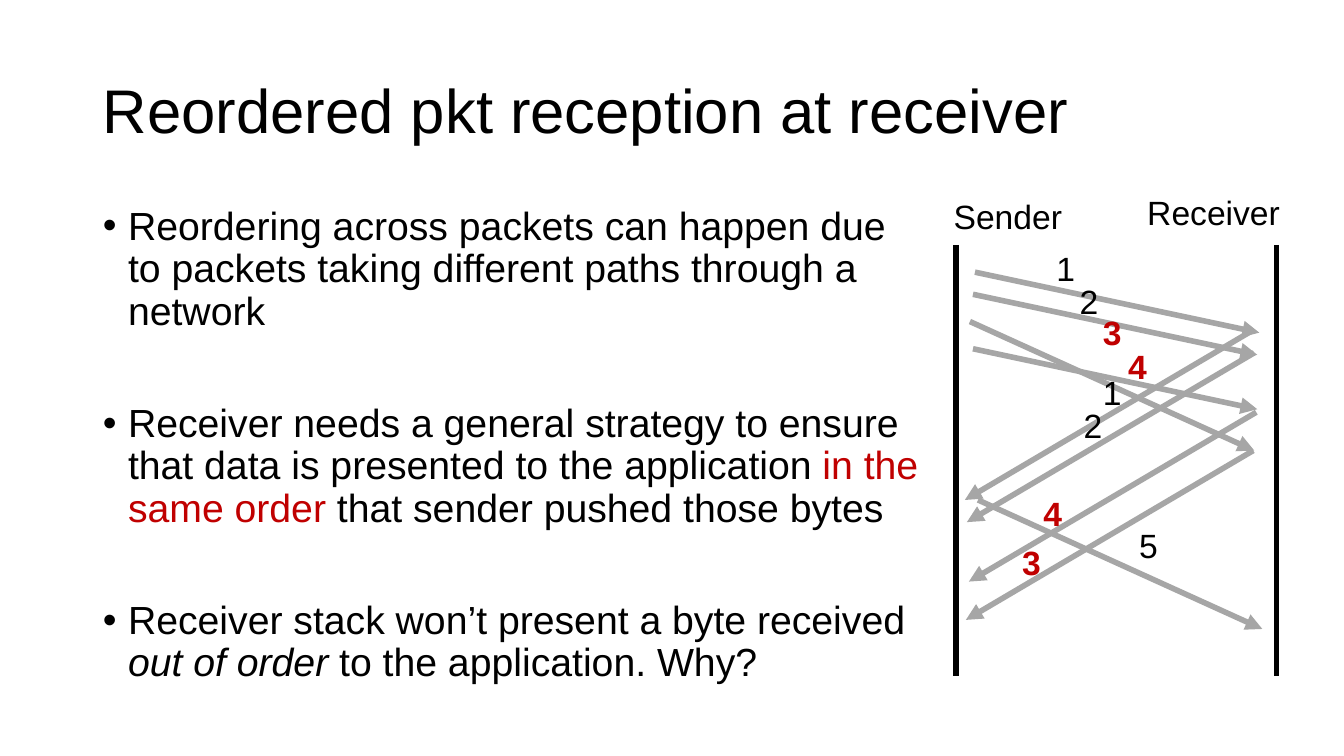
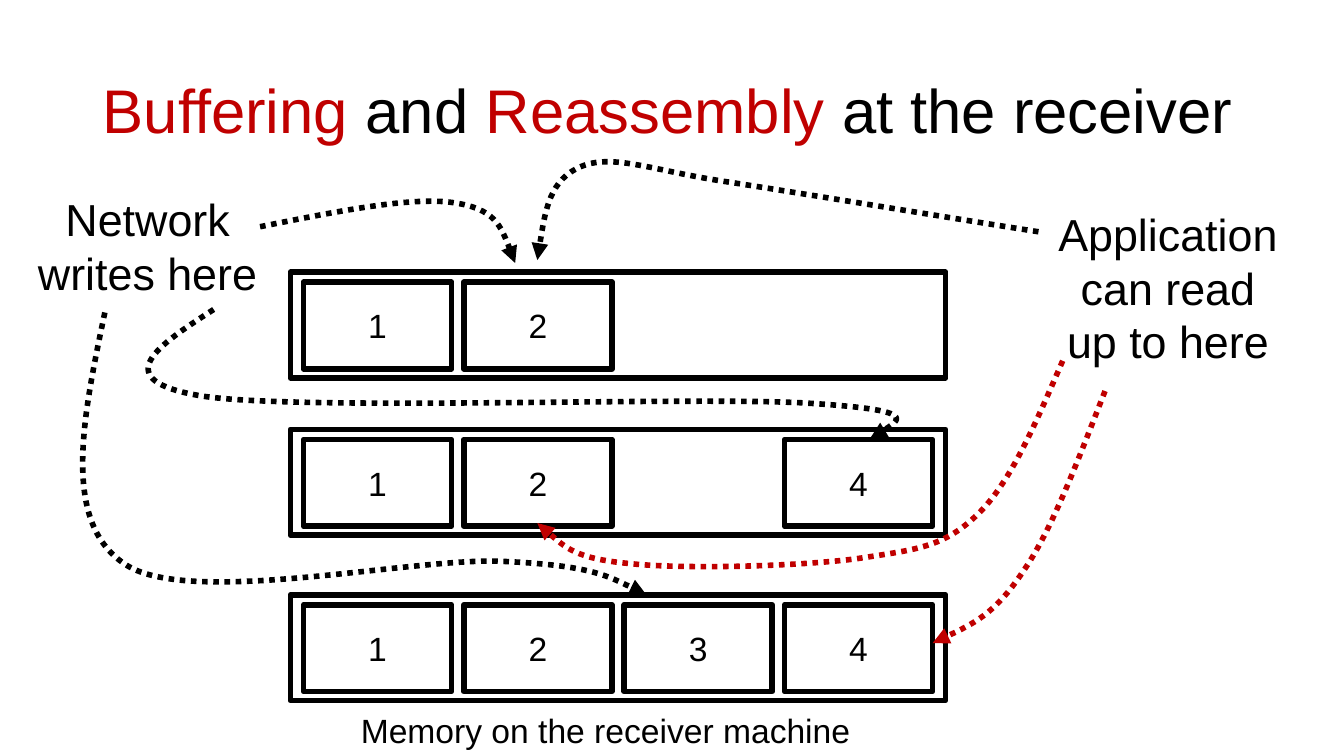
"""Build two slides on packet reordering and receiver-side reassembly."""
import itertools
from dataclasses import dataclass

import pptx
import pptx.dml.color
import pptx.enum.dml
import pptx.enum.shapes
import pptx.enum.text
import pptx.oxml
import pptx.oxml.ns
import pptx.util
from lxml import etree

IN = pptx.util.Inches
ALIGN = pptx.enum.text.PP_ALIGN
ANCHOR = pptx.enum.text.MSO_ANCHOR
FIT = pptx.enum.text.MSO_AUTO_SIZE
QN = pptx.oxml.ns.qn


@dataclass(frozen=True)
class Theme:
    """Colours, font and sizes shared by the slides."""
    font: str = "Arial"
    ink: str = "000000"
    red: str = "C00000"
    grey: str = "A6A6A6"
    title: int = 44
    note: int = 32
    body: int = 28
    label: int = 24
    line: int = 4
    leading: float = 0.9
    bullet_gap: int = 50


T = Theme()
SLIDE = (13.33, 7.5)
TITLE_BOX = (0.92, 0.4, 11.5, 1.45)
BODY_BOX = (0.92, 2, 8.33, 5.25)
RED, BOLD_RED, ITALIC = {"color": T.red}, {"color": T.red, "bold": True}, {"italic": True}

REORDER_TITLE = [("Reordered pkt reception at receiver", {})]
BULLETS = [
    [("Reordering across packets can happen due to packets taking different paths "
      "through a network", {})],
    [("Receiver needs a general strategy to ensure that data is presented to the "
      "application ", {}), ("in the same order ", RED),
     ("that sender pushed those bytes", {})],
    [("Receiver stack won’t present a byte received ", {}), ("out of order", ITALIC),
     (" to the application. Why?", {})],
]
RAILS, RAIL_SPAN = (9.48, 12.66), (2.43, 6.71)
RAIL_NAMES = [("Sender", (9.36, 1.89, 1.51, 0.5)), ("Receiver", (11.28, 1.85, 1.68, 0.5))]
MESSAGES = [
    ((2.82, 0.6), [(9.67, 2.7), (9.65, 2.92), (9.65, 3.46)]),
    ((2.82, 1.28), [(9.62, 3.19), (9.7, 4.96)]),
    ((-2.85, 1.68), [(12.42, 3.28), (12.44, 3.5), (12.46, 4.09), (12.43, 4.47)]),
]
NUMBER_SIZE = (0.74, 0.5)
NUMBERS = [
    ("1", {}, (10.38, 2.41)), ("2", {}, (10.61, 2.74)),
    ("3", BOLD_RED, (10.84, 3.05)), ("4", BOLD_RED, (11.09, 3.38)),
    ("1", {}, (10.84, 3.64)), ("2", {}, (10.65, 3.97)),
    ("4", BOLD_RED, (10.25, 4.84)), ("5", {}, (11.2, 5.16)),
    ("3", BOLD_RED, (10.04, 5.33)),
]

BUFFER_TITLE = [("Buffering ", RED), ("and", {}), (" Reassembly", RED),
                (" at the receiver", {})]
BUFFERS = [(2.7, (1, 2)), (4.26, (1, 2, 4)), (5.9, (1, 2, 3, 4))]
BUFFER_LEFT, BUFFER_SIZE = 2.88, (6.5, 1.05)
CELL_LEFT, CELL_PITCH, CELL_SIZE = 3.01, 1.59, (1.47, 0.86)
NOTES = [
    ("Application can read up to here", T.note, ALIGN.CENTER, (10.32, 2, 2.53, 1.72)),
    ("Network writes here", T.note, ALIGN.CENTER, (0.2, 1.85, 2.53, 1.18)),
    ("Memory on the receiver machine", T.label, ALIGN.LEFT, (3.48, 6.99, 5.44, 0.5)),
]
CURVES = [
    (T.ink, [(2.58, 2.25), (3.33, 2.1), (4.07, 1.95), (4.49, 2.01),
             (4.92, 2.07), (5.01, 2.34), (5.11, 2.61)]),
    (T.ink, [(10.3, 2.3), (9.28, 2.14), (8.27, 1.97), (7.25, 1.81),
             (6.49, 1.7), (6.09, 1.52), (5.77, 1.65),
             (5.45, 1.78), (5.39, 2.18), (5.33, 2.58)]),
    (T.ink, [(2.12, 3.07), (1.58, 3.42), (1.03, 3.77), (2.01, 3.93),
             (3, 4.08), (6.92, 3.93), (8.02, 4),
             (9.13, 4.07), (8.88, 4.21), (8.63, 4.35)]),
    (T.red, [(10.54, 3.58), (10.28, 4.18), (10.03, 4.78), (9.7, 5.1),
             (9.36, 5.43), (9.1, 5.45), (8.52, 5.54),
             (7.94, 5.62), (6.76, 5.65), (6.23, 5.59),
             (5.7, 5.54), (5.52, 5.36), (5.33, 5.19)]),
    (T.ink, [(1.04, 3.1), (0.82, 4.15), (0.6, 5.2), (1.26, 5.61),
             (1.92, 6.02), (4.14, 5.52), (5, 5.57),
             (5.86, 5.61), (6.13, 5.76), (6.41, 5.9)]),
    (T.red, [(10.96, 3.88), (10.69, 4.57), (10.43, 5.27), (10.14, 5.68),
             (9.86, 6.1), (9.55, 6.24), (9.25, 6.38)]),
]


def rgb(value):
    """Turn a hex string into a colour."""
    return pptx.dml.color.RGBColor.from_string(value)


def add_runs(p, runs, size):
    """Write styled runs into a paragraph."""
    for text, style in runs:
        r = p.add_run()
        r.text = text
        r.font.name, r.font.size = T.font, pptx.util.Pt(size)
        r.font.color.rgb = rgb(style.get("color", T.ink))
        r.font.bold = style.get("bold", False)
        r.font.italic = style.get("italic", False)


def place(sp, box):
    """Move and size a shape in inches."""
    sp.left, sp.top, sp.width, sp.height = map(IN, box)


def add_title(prs, layout, runs):
    """Add a slide and fill its title placeholder."""
    s = prs.slides.add_slide(prs.slide_layouts[layout])
    sp = s.shapes.title
    place(sp, TITLE_BOX)
    tf = sp.text_frame
    tf.auto_size, tf.vertical_anchor = FIT.NONE, ANCHOR.MIDDLE
    p = tf.paragraphs[0]
    p.alignment, p.line_spacing = ALIGN.LEFT, T.leading
    add_runs(p, runs, T.title)
    return s


def add_bullets(sp, items):
    """Fill the body placeholder with bulleted paragraphs."""
    place(sp, BODY_BOX)
    tf = sp.text_frame
    tf.auto_size = FIT.NONE
    for i, runs in enumerate(items):
        p = tf.add_paragraph() if i else tf.paragraphs[0]
        p.line_spacing = T.leading
        p.space_before = pptx.util.Pt(T.bullet_gap if i else 0)
        pPr = p._p.get_or_add_pPr()
        pPr.set("marL", str(IN(0.25)))
        pPr.set("indent", str(IN(-0.25)))
        etree.SubElement(pPr, QN("a:buFont")).set("typeface", T.font)
        etree.SubElement(pPr, QN("a:buChar")).set("char", "•")
        add_runs(p, runs, T.body)


def add_label(s, runs, box, size=T.label, align=ALIGN.LEFT):
    """Add a wrapping text box that grows with its text."""
    tf = s.shapes.add_textbox(*map(IN, box)).text_frame
    tf.word_wrap, tf.auto_size = True, FIT.SHAPE_TO_FIT_TEXT
    tf.paragraphs[0].alignment = align
    add_runs(tf.paragraphs[0], runs, size)


def set_line(sp, color, arrow=False, dash=None):
    """Style an outline, with an optional dash and end arrow."""
    sp.line.color.rgb, sp.line.width = rgb(color), pptx.util.Pt(T.line)
    if dash:
        sp.line.dash_style = dash
    if arrow:
        etree.SubElement(sp.line._get_or_add_ln(), QN("a:tailEnd")).set("type", "triangle")


def add_line(s, start, end, color, arrow=False):
    """Add a straight connector without a shadow."""
    c = s.shapes.add_connector(pptx.enum.shapes.MSO_CONNECTOR.STRAIGHT,
                               *map(IN, (*start, *end)))
    set_line(c, color, arrow)
    etree.SubElement(c._element.spPr, QN("a:effectLst"))


def add_rect(s, box, text=""):
    """Add an unfilled outlined rectangle, optionally numbered."""
    sp = s.shapes.add_shape(pptx.enum.shapes.MSO_SHAPE.RECTANGLE, *map(IN, box))
    sp.shadow.inherit = False
    sp.fill.background()
    set_line(sp, T.ink)
    if text:
        tf = sp.text_frame
        tf.vertical_anchor = ANCHOR.MIDDLE
        tf.paragraphs[0].alignment = ALIGN.CENTER
        add_runs(tf.paragraphs[0], [(text, {})], T.label)


def add_curve(s, color, points):
    """Add a dotted arrow whose points are cubic anchors and handles."""
    start, *rest = [(IN(x), IN(y)) for x, y in points]
    fb = s.shapes.build_freeform(*start)
    fb.add_line_segments(rest, close=False)
    sp = fb.convert_to_shape()
    steps = list(sp._element.iter(QN("a:lnTo")))
    for i in range(0, len(steps), 3):
        bez = etree.SubElement(steps[i].getparent(), QN("a:cubicBezTo"))
        for step in steps[i:i + 3]:
            bez.append(step[0])
            step.getparent().remove(step)
    sp.shadow.inherit = False
    sp.fill.background()
    set_line(sp, color, True, pptx.enum.dml.MSO_LINE.ROUND_DOT)


def build_reordering(prs):
    """Build the bullets and the sender-receiver timeline."""
    s = add_title(prs, 1, REORDER_TITLE)
    add_bullets(s.placeholders[1], BULLETS)
    for x in RAILS:
        add_line(s, (x, RAIL_SPAN[0]), (x, RAIL_SPAN[1]), T.ink)
    for name, box in RAIL_NAMES:
        add_label(s, [(name, {})], box)
    for (dx, dy), starts in MESSAGES:
        for x, y in starts:
            add_line(s, (x, y), (x + dx, y + dy), T.grey, True)
    for text, style, at in NUMBERS:
        add_label(s, [(text, style)], (*at, *NUMBER_SIZE))


def build_buffering(prs):
    """Build the three buffer states and their pointers."""
    s = add_title(prs, 5, BUFFER_TITLE)
    for top, cells in BUFFERS:
        add_rect(s, (BUFFER_LEFT, top, *BUFFER_SIZE))
        for n in cells:
            left = CELL_LEFT + (n - 1) * CELL_PITCH
            add_rect(s, (left, top + 0.1, *CELL_SIZE), str(n))
    for text, size, align, box in NOTES:
        add_label(s, [(text, {})], box, size, align)
    for color, points in CURVES:
        add_curve(s, color, points)


def main():
    """Build and save the presentation."""
    prs = pptx.Presentation()
    prs.slide_width, prs.slide_height = map(IN, SLIDE)
    build_reordering(prs)
    build_buffering(prs)
    prs.save("out.pptx")


if __name__ == "__main__":
    main()
